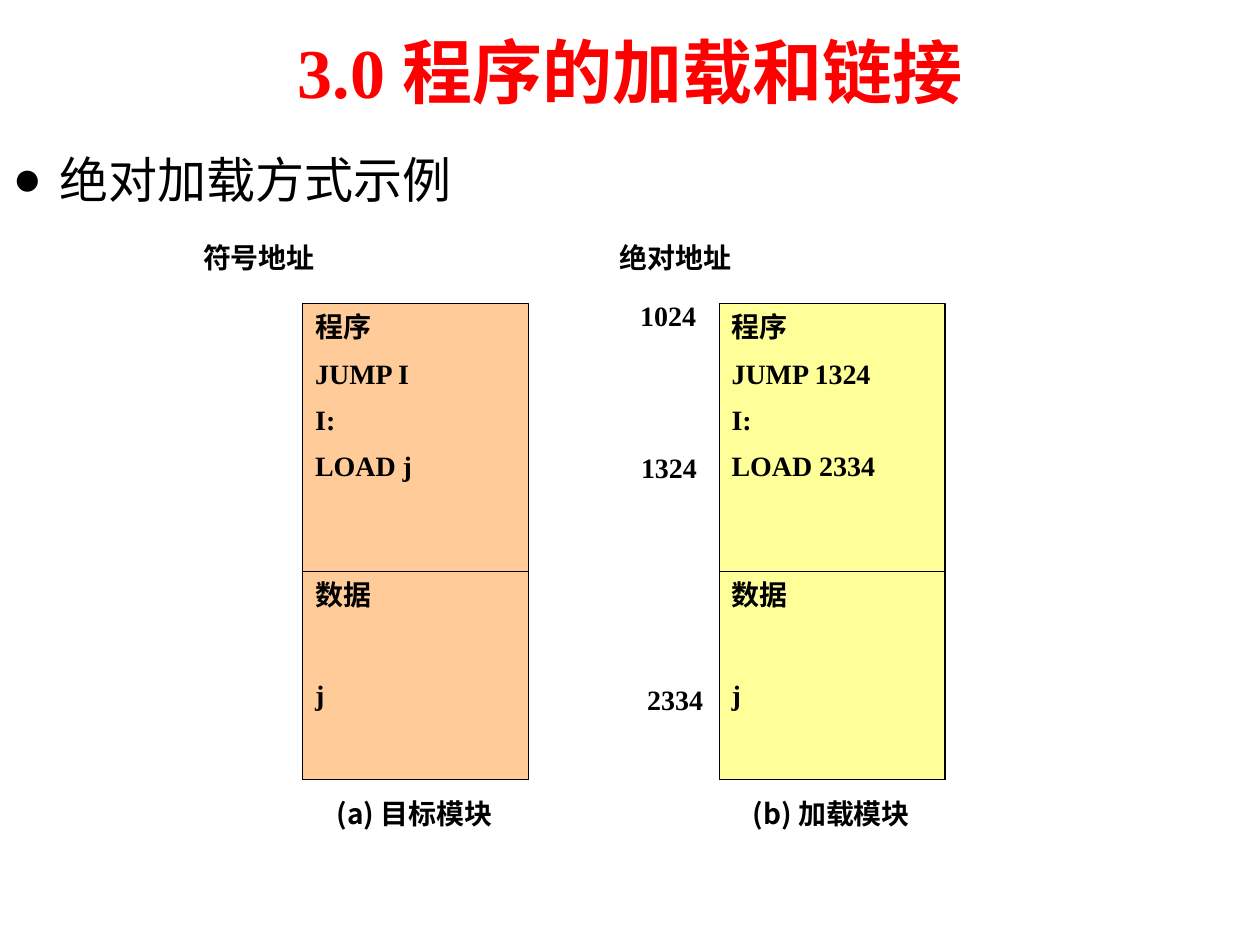
import pptx
import pptx.dml.color
import pptx.enum.shapes
import pptx.enum.text
import pptx.oxml.ns
import pptx.util
from lxml import etree

Pt = pptx.util.Pt
ALIGN = pptx.enum.text.PP_ALIGN
ANCHOR = pptx.enum.text.MSO_ANCHOR
SERIF = "Times New Roman"
SANS = "Noto Sans CJK SC"


def color(hex_code):
    return pptx.dml.color.RGBColor.from_string(hex_code)


def write(frame, lines, size=16, font=SERIF, bold=True, ink="000000",
          align=ALIGN.LEFT, anchor=ANCHOR.TOP, gap=0, line_spacing=None,
          bullet=None, indent=0):
    """Fill a text frame; gap is the space in points before later lines."""
    frame.word_wrap = True
    frame.auto_size = pptx.enum.text.MSO_AUTO_SIZE.NONE
    frame.vertical_anchor = anchor
    for index, line in enumerate(lines):
        paragraph = frame.add_paragraph() if index else frame.paragraphs[0]
        if bullet:
            properties = paragraph._p.get_or_add_pPr()
            properties.set("marL", str(Pt(indent)))
            properties.set("indent", str(-Pt(indent)))
            mark = etree.SubElement(properties, pptx.oxml.ns.qn("a:buChar"))
            mark.set("char", bullet)
        paragraph.alignment = align
        paragraph.space_before = Pt(gap if index else 0)
        paragraph.space_after = Pt(0)
        if line_spacing:
            paragraph.line_spacing = line_spacing
        run = paragraph.add_run()
        run.text = line
        run.font.size = Pt(size)
        run.font.name = font
        run.font.bold = bold
        run.font.color.rgb = color(ink)
        east_asian = etree.Element(pptx.oxml.ns.qn("a:ea"), typeface=SANS)
        run.font._element.find(pptx.oxml.ns.qn("a:latin")).addnext(east_asian)


class SlideBuilder:
    def __init__(self, slide):
        self.slide = slide

    def placeholder(self, index, bounds, text, **style):
        holder = self.slide.placeholders[index]
        holder.left, holder.top, holder.width, holder.height = map(Pt, bounds)
        write(holder.text_frame, [text], **style)

    def label(self, left, top, width, text, **style):
        box = self.slide.shapes.add_textbox(Pt(left), Pt(top), Pt(width), Pt(34))
        write(box.text_frame, [text], align=ALIGN.CENTER, **style)

    def block(self, left, top, width, height, lines, gap, fill=None):
        rectangle = self.slide.shapes.add_shape(
            pptx.enum.shapes.MSO_SHAPE.RECTANGLE,
            Pt(left), Pt(top), Pt(width), Pt(height))
        rectangle.shadow.inherit = False
        if fill:
            rectangle.fill.solid()
            rectangle.fill.fore_color.rgb = color(fill)
        else:
            rectangle.fill.background()
        rectangle.line.color.rgb = color("000000")
        rectangle.line.width = Pt(0.75)
        write(rectangle.text_frame, lines, gap=gap)

    def module(self, left, fill, heading, code, caption):
        """Draw a memory module: program on top, data below, labels around."""
        self.label(left - 73.5, 134, 97, heading)
        self.block(left, 173.5, 129, 272, ["程序", *code], gap=7.3, fill=fill)
        self.block(left, 326.5, 129, 119, ["数据", "j"], gap=38)
        self.label(left - 6, 451.5, 140, caption, font=SANS)


def main():
    deck = pptx.Presentation()
    deck.slide_width, deck.slide_height = Pt(720), Pt(540)
    builder = SlideBuilder(deck.slides.add_slide(deck.slide_layouts[1]))

    builder.placeholder(0, (36, 3.5, 648, 73.5), "3.0 程序的加载和链接",
                        size=40, ink="FE0000", align=ALIGN.CENTER,
                        anchor=ANCHOR.MIDDLE)
    builder.placeholder(1, (0, 88.5, 648, 308), "绝对加载方式示例",
                        size=28, bold=False, line_spacing=0.8,
                        bullet="●", indent=27)

    builder.module(173, "FFCC99", "符号地址",
                   ["JUMP I", "I:", "LOAD j"], "(a) 目标模块")
    builder.module(411, "FFFF99", "绝对地址",
                   ["JUMP 1324", "I:", "LOAD 2334"], "(b) 加载模块")
    for left, top, address in ((348, 167, "1024"), (348.5, 254, "1324"),
                               (352, 386.5, "2334")):
        builder.label(left, top, 67.5, address)

    deck.save("out.pptx")


if __name__ == "__main__":
    main()
